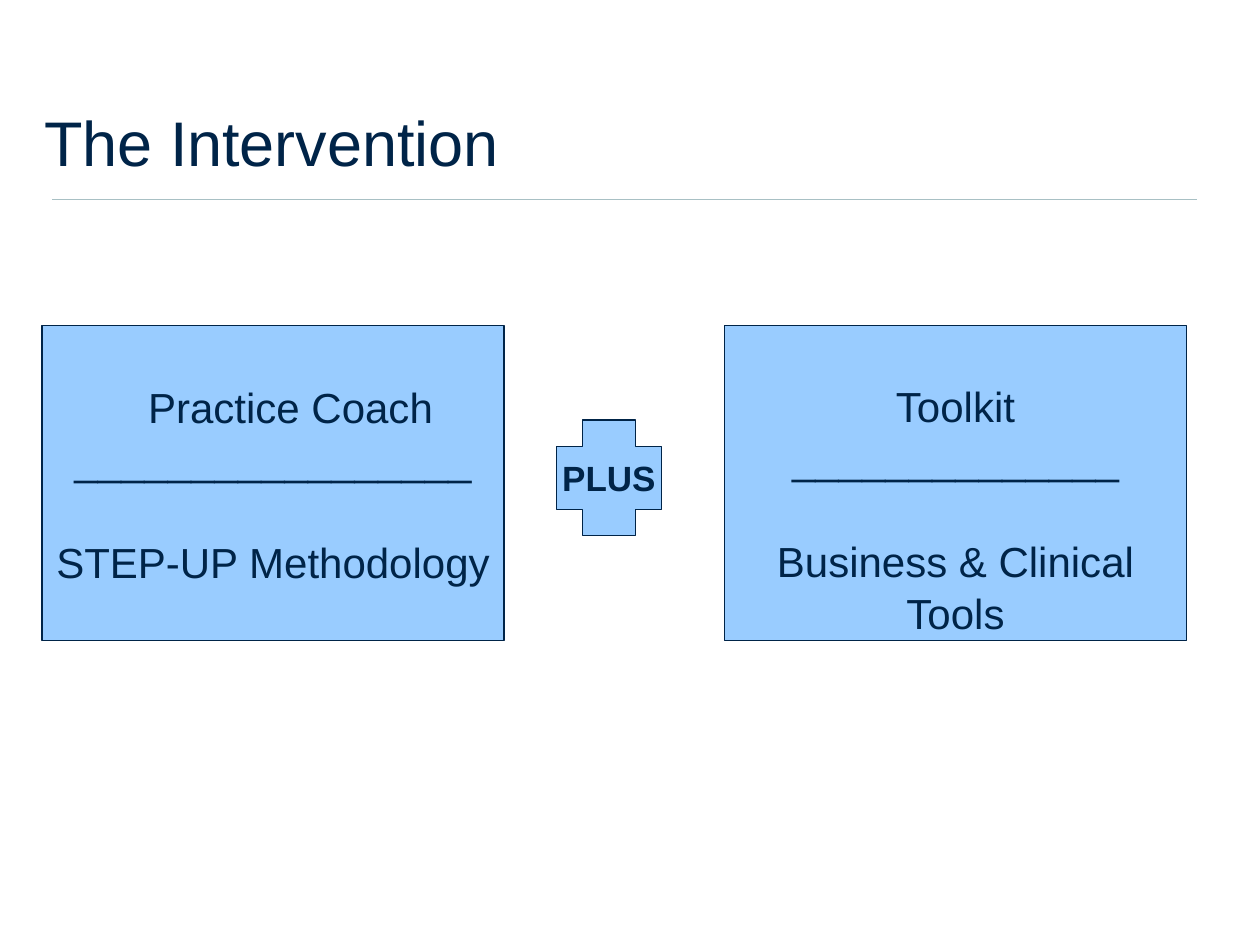
from dataclasses import dataclass

from lxml import etree
from pptx import Presentation
from pptx.dml.color import RGBColor
from pptx.enum.shapes import MSO_CONNECTOR, MSO_SHAPE
from pptx.enum.text import MSO_ANCHOR, PP_ALIGN
from pptx.oxml.ns import qn
from pptx.util import Pt

STRAIGHT = MSO_CONNECTOR.STRAIGHT
RECTANGLE, CROSS = MSO_SHAPE.RECTANGLE, MSO_SHAPE.CROSS
MIDDLE = MSO_ANCHOR.MIDDLE
LEFT, CENTER = PP_ALIGN.LEFT, PP_ALIGN.CENTER
TITLE_ONLY = 5


@dataclass(frozen=True)
class Theme:
    """Colours, font and type sizes in points."""
    ink: RGBColor = RGBColor(0x00, 0x24, 0x48)
    panel: RGBColor = RGBColor(0x99, 0xCC, 0xFF)
    rule: RGBColor = RGBColor(0xA8, 0xC0, 0xC4)
    font: str = "Arial"
    title: float = 36
    body: float = 24
    badge: float = 20
    line_spacing: float = 1.04
    blank_line: float = 28.7
    stroke: float = 0.75


class SlideBuilder:
    """Draws themed elements on one slide."""

    def __init__(self, slide, theme):
        self.slide, self.theme = slide, theme

    def add_text(self, paragraph, wording, size, align, bold=False):
        """Add one formatted run to a paragraph."""
        paragraph.alignment = align
        run = paragraph.add_run()
        run.text = wording
        run.font.name, run.font.size, run.font.bold = self.theme.font, Pt(size), bold
        run.font.color.rgb = self.theme.ink

    def title(self, wording, left, top, width, height):
        """Place and fill the title placeholder."""
        heading = self.slide.shapes.title
        heading.left, heading.top = Pt(left), Pt(top)
        heading.width, heading.height = Pt(width), Pt(height)
        heading.text_frame.vertical_anchor = MIDDLE
        self.add_text(heading.text_frame.paragraphs[0], wording, self.theme.title, LEFT)

    def rule(self, left, right, y):
        """Draw a thin horizontal rule."""
        divider = self.slide.shapes.add_connector(STRAIGHT, Pt(left), Pt(y), Pt(right), Pt(y))
        divider.line.color.rgb = self.theme.rule
        divider.line.width = Pt(self.theme.stroke)
        etree.SubElement(divider._element.spPr, qn("a:effectLst"))

    def block(self, kind, left, top, width, height):
        """Draw a filled, outlined shape and return its text frame."""
        block = self.slide.shapes.add_shape(kind, Pt(left), Pt(top), Pt(width), Pt(height))
        block.shadow.inherit = False
        block.fill.solid()
        block.fill.fore_color.rgb = self.theme.panel
        block.line.color.rgb = self.theme.ink
        block.line.width = Pt(self.theme.stroke)
        block.text_frame.vertical_anchor = MIDDLE
        return block.text_frame

    def badge(self, wording, left, top, width, height):
        """Draw the plus sign with its bold label."""
        frame = self.block(CROSS, left, top, width, height)
        frame.word_wrap = False
        self.add_text(frame.paragraphs[0], wording, self.theme.badge, CENTER, bold=True)

    def panel(self, heading, underline, details, left, top, width, height,
              heading_indent=0, lowered=0):
        """Draw a box with an underlined heading and details below it."""
        frame = self.block(RECTANGLE, left, top, width, height)
        frame.word_wrap = True
        frame.margin_left = frame.margin_right = Pt(3.6)
        frame.margin_top = Pt(3.6 + lowered)
        for index, wording in enumerate([heading, underline, *details]):
            paragraph = frame.paragraphs[0] if index == 0 else frame.add_paragraph()
            if index == 0 and heading_indent:
                paragraph._p.get_or_add_pPr().set("marL", str(Pt(heading_indent)))
            paragraph.line_spacing = self.theme.line_spacing
            if index == 2:
                paragraph.space_before = Pt(self.theme.blank_line)
            self.add_text(paragraph, wording, self.theme.body, CENTER)


def main():
    """Build and save the slide."""
    deck = Presentation()
    deck.slide_width, deck.slide_height = Pt(720), Pt(540)
    theme = Theme()
    builder = SlideBuilder(deck.slides.add_slide(deck.slide_layouts[TITLE_ONLY]), theme)
    panel_size = {"top": 186, "width": 264, "height": 180}

    builder.rule(30, 684, 114)
    builder.title("The Intervention", 18, 30, 684, 102)
    builder.badge("PLUS", 318, 240, 60, 66)
    builder.panel("Practice Coach", "_" * 17, ["STEP-UP Methodology"],
                  left=24, heading_indent=20, **panel_size)
    builder.panel("Toolkit", "_" * 14, ["Business & Clinical", "Tools"],
                  left=414, lowered=theme.blank_line, **panel_size)
    deck.save("out.pptx")


if __name__ == "__main__":
    main()
